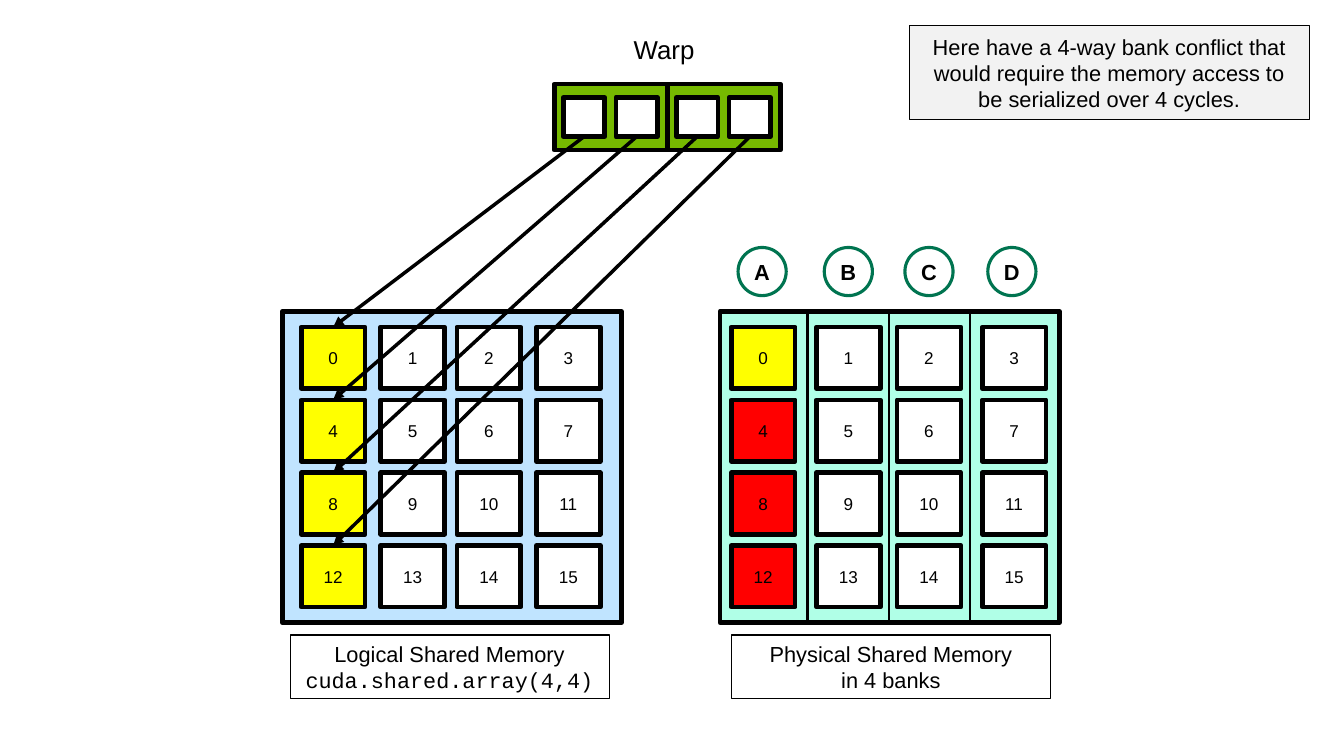
from dataclasses import dataclass
from typing import Any, NamedTuple, Optional

from lxml import etree
from pptx import Presentation
from pptx import util as u
from pptx.dml.color import RGBColor
from pptx.enum import shapes as sh, text as tx
from pptx.oxml.ns import qn

PX = 9144  # EMU per px, 100 px to the inch


@dataclass(frozen=True)
class Theme:
    ink: str = "000000"
    white: str = "FFFFFF"
    note: str = "F2F2F2"
    logical: str = "C0E4FF"
    physical: str = "B0FFE7"
    accessed: str = "FFFF00"
    conflict: str = "FF0000"
    warp: str = "76B900"
    ring: str = "007450"
    sans: str = "Arial"
    mono: str = "Courier New"
    cell_size: float = 11
    body_size: float = 14
    title_size: float = 16.6
    thin: float = 0.75
    divider: float = 1.5
    ring_line: float = 2
    arrow: float = 2.25
    heavy: float = 3


class Box(NamedTuple):
    left: int
    top: int
    width: int
    height: int


@dataclass(frozen=True)
class Memory:
    frame: Box
    fill: str
    columns: tuple[int, ...]
    first_column: tuple[str, ...]  # fills of column 0, top to bottom
    dividers: tuple[Box, ...]
    caption: Box
    lines: tuple[str, str]
    second_font: str


T = Theme()
ROW_TOP, ROW_STEP, CELL_W, CELL_H = 292, 65, 57, 55

LOGICAL = Memory(
    Box(252, 278, 303, 278), T.logical, (269, 340, 408, 479), (T.accessed,) * 4, (),
    Box(259, 567, 285, 57), ("Logical Shared Memory", "cuda.shared.array(4,4)"), T.mono)
PHYSICAL = Memory(
    Box(643, 278, 303, 278), T.physical, (653, 729, 801, 877),
    (T.accessed,) + (T.conflict,) * 3,
    (Box(721, 278, 0, 277), Box(794, 280, 0, 278), Box(866, 278, 0, 277)),
    Box(653, 567, 285, 57), ("Physical Shared Memory", "in 4 banks"), T.sans)
BANKS = {"A": 659, "B": 736, "C": 808, "D": 882}


def emu(box: Box) -> list[u.Emu]:
    return [u.Emu(value * PX) for value in box]


def write(shape: Any, *lines: str, size: float = T.body_size, bold: bool = False,
          fonts: tuple[str, ...] = (T.sans,), align: Any = tx.PP_ALIGN.CENTER,
          anchor: Any = tx.MSO_ANCHOR.MIDDLE, inset: Optional[int] = None) -> None:
    frame = shape.text_frame
    frame.word_wrap = True
    frame.vertical_anchor = anchor
    if inset is not None:
        frame.margin_left = frame.margin_right = u.Emu(inset * PX)
        frame.margin_top = frame.margin_bottom = u.Emu(inset * PX)
    for i, line in enumerate(lines):
        paragraph = frame.paragraphs[0] if i == 0 else frame.add_paragraph()
        paragraph.alignment = align
        run = paragraph.add_run()
        run.text = line
        run.font.size = u.Pt(size)
        run.font.bold = bold
        run.font.name = fonts[min(i, len(fonts) - 1)]
        run.font.color.rgb = RGBColor.from_string(T.ink)


def draw(parent: Any, box: Box, fill: Optional[str] = None, line: str = T.ink,
         weight: float = T.heavy, kind: Any = sh.MSO_SHAPE.RECTANGLE) -> Any:
    shape = parent.shapes.add_shape(kind, *emu(box))
    shape.shadow.inherit = False
    if fill:
        shape.fill.solid()
        shape.fill.fore_color.rgb = RGBColor.from_string(fill)
    else:
        shape.fill.background()
    shape.line.color.rgb = RGBColor.from_string(line)
    shape.line.width = u.Pt(weight)
    return shape


def connect(slide: Any, box: Box, weight: float) -> Any:
    left, top, width, height = emu(box)
    line = slide.shapes.add_connector(
        sh.MSO_CONNECTOR.STRAIGHT, left, top, left + width, top + height)
    line.line.color.rgb = RGBColor.from_string(T.ink)
    line.line.width = u.Pt(weight)
    etree.SubElement(line._element.spPr, qn("a:effectLst"))
    return line


def draw_memory(slide: Any, memory: Memory) -> list[Any]:
    """Draw one 4 x 4 memory and return the cells of its first column."""
    draw(slide, memory.frame, memory.fill)
    first_cells = []
    for row, first_fill in enumerate(memory.first_column):
        for column, left in enumerate(memory.columns):
            cell = draw(slide, Box(left, ROW_TOP + row * ROW_STEP, CELL_W, CELL_H),
                        T.white if column else first_fill)
            write(cell, str(row * len(memory.columns) + column), size=T.cell_size, inset=0)
            if column == 0:
                first_cells.append(cell)
    for divider in memory.dividers:
        connect(slide, divider, T.divider)
    caption = draw(slide, memory.caption, weight=T.thin)
    write(caption, *memory.lines, fonts=(T.sans, memory.second_font),
          anchor=tx.MSO_ANCHOR.TOP)
    return first_cells


def draw_warp(slide: Any) -> list[Any]:
    """Draw the two halves of the warp and return its four threads."""
    group = slide.shapes.add_group_shape()
    threads = []
    for left in (495, 596):
        draw(group, Box(left, 75, 101, 59), T.warp)
        threads += [draw(group, Box(left + offset, 87, 37, 35), T.white)
                    for offset in (8, 55)]
    title = slide.shapes.add_textbox(*emu(Box(556, 25, 95, 38)))
    write(title, "Warp", size=T.title_size, align=tx.PP_ALIGN.LEFT,
          anchor=tx.MSO_ANCHOR.TOP)
    return threads


def draw_access(slide: Any, thread: Any, cell: Any) -> None:
    arrow = connect(slide, Box(0, 0, 0, 0), T.arrow)
    arrow.begin_connect(thread, 2)
    arrow.end_connect(cell, 0)
    etree.SubElement(arrow.line._get_or_add_ln(), qn("a:tailEnd"), type="triangle")


def main() -> None:
    deck = Presentation()
    deck.slide_width, deck.slide_height = u.Emu(1200 * PX), u.Emu(675 * PX)
    slide = deck.slides.add_slide(deck.slide_layouts[6])

    # Explanation
    note = draw(slide, Box(812, 23, 357, 84), T.note, weight=T.thin)
    write(note, "Here have a 4-way bank conflict that would require the memory "
                "access to be serialized over 4 cycles.")

    # Both views of the memory
    cells = draw_memory(slide, LOGICAL)
    draw_memory(slide, PHYSICAL)

    # Bank letters
    for letter, left in BANKS.items():
        bank = draw(slide, Box(left, 221, 43, 43), line=T.ring, weight=T.ring_line,
                    kind=sh.MSO_SHAPE.OVAL)
        write(bank, letter, bold=True, inset=0)

    # Warp and its accesses
    for thread, cell in zip(draw_warp(slide), cells):
        draw_access(slide, thread, cell)

    deck.save("out.pptx")


if __name__ == "__main__":
    main()
